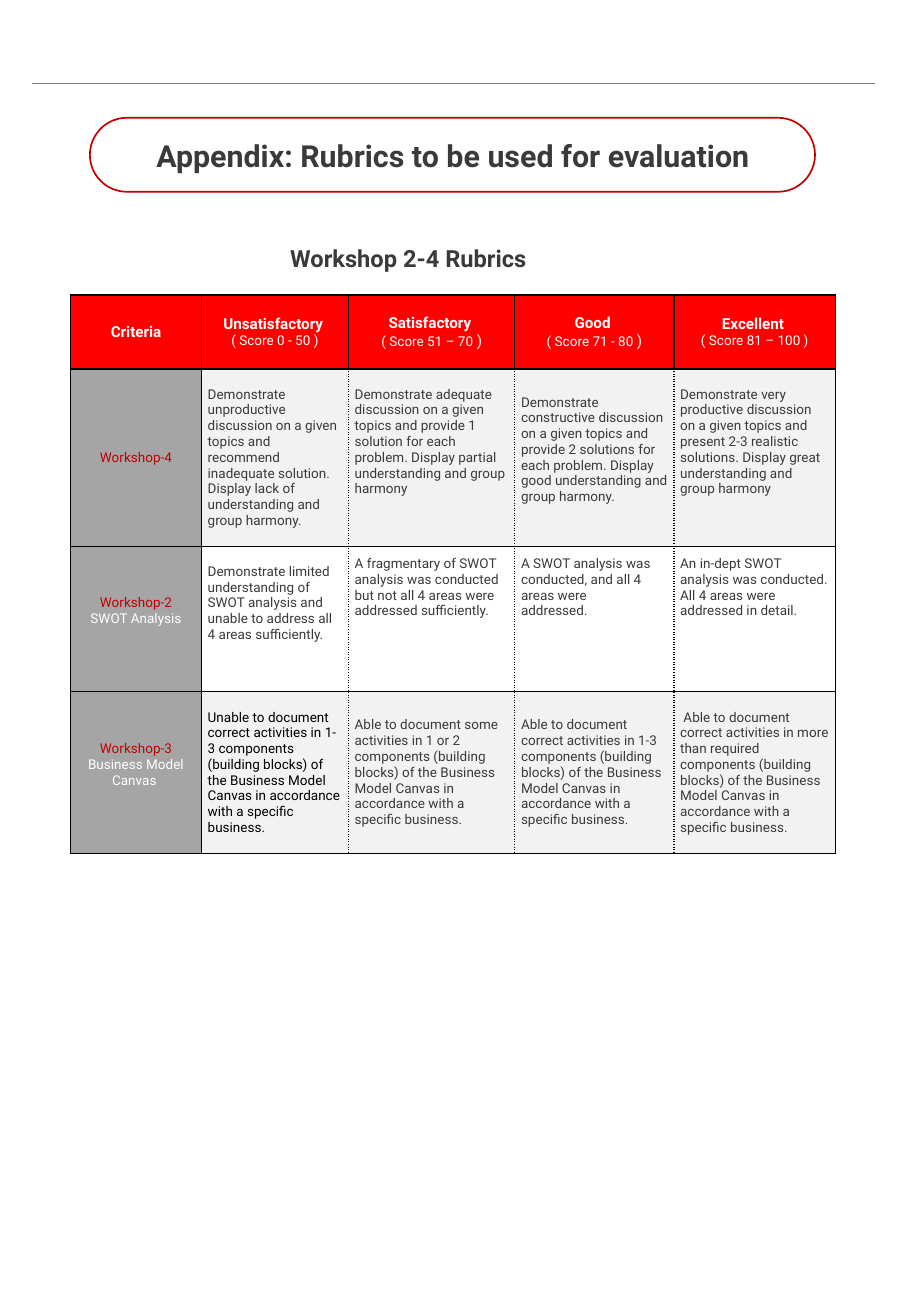
from dataclasses import dataclass

from lxml.etree import SubElement
from pptx import Presentation
from pptx.dml.color import RGBColor
from pptx.enum.shapes import MSO_CONNECTOR, MSO_SHAPE
from pptx.enum.text import MSO_ANCHOR, PP_ALIGN
from pptx.oxml.ns import qn
from pptx.util import Inches, Pt


@dataclass(frozen=True)
class Theme:
    font: str = "Roboto"
    ink: str = "3A3A3A"
    black: str = "000000"
    white: str = "FFFFFF"
    red: str = "FF0000"
    wine: str = "C00000"
    rule: str = "7F7F7F"
    gray: str = "A5A5A5"
    pale: str = "F2F2F2"
    title: float = 18
    sub: float = 14
    head: float = 9
    body: float = 8
    thin: float = 0.75


THEME = Theme()
LINE = 0.13  # height of one line of body text, in inches
COLS = [1.08, 1.21, 1.37, 1.31, 1.33]
ROWS = [0.61, 1.46, 1.2, 1.33]

# Level, score range, size of the closing bracket
LEVELS = [
    ("Unsatisfactory ", "( Score 0 - 50 ", THEME.body),
    ("Satisfactory ", "( Score 51 – 70 ", THEME.head),
    ("Good ", "( Score 71 - 80 ", THEME.head),
    ("Excellent ", "( Score 81 – 100 ", THEME.body),
]

# Workshop, topic, row fill, color of the first level, lines of space
# below each cell's text, level texts
RUBRICS = [
    ("Workshop-4", "", THEME.pale, THEME.ink, (0, 0, 2, 1, 2), [
        "Demonstrate unproductive discussion on a given topics and recommend "
        "inadequate solution. Display lack of understanding and group harmony.",
        "Demonstrate adequate discussion on a given topics and provide 1 solution "
        "for each problem. Display partial understanding and group harmony",
        "Demonstrate constructive discussion on a given topics and provide 2 solutions "
        "for each problem. Display good understanding and group harmony.",
        "Demonstrate very productive discussion on a given topics and present 2-3 "
        "realistic solutions. Display great understanding and group harmony",
    ]),
    ("Workshop-2", "SWOT Analysis", THEME.white, THEME.ink, (1, 2, 4, 4, 4), [
        "Demonstrate limited understanding of SWOT analysis and unable to address "
        "all 4 areas sufficiently.",
        "A fragmentary of SWOT analysis was conducted but not all 4 areas were "
        "addressed sufficiently.",
        "A SWOT analysis was conducted, and all 4 areas were\naddressed.",
        "An in-dept SWOT analysis was conducted. All 4 areas were addressed in detail.",
    ]),
    ("Workshop-3", "Business Model Canvas ", THEME.pale, THEME.black, (1, 0, 0, 0, 0), [
        "Unable to document correct activities in 1-3 components (building blocks) "
        "of the Business Model Canvas in accordance with a specific business.",
        "Able to document some activities in 1 or 2 components (building blocks) "
        "of the Business Model Canvas in accordance with a specific business.",
        "Able to document correct activities in 1-3 components (building blocks) "
        "of the Business Model Canvas in accordance with a specific business.",
        " Able to document correct activities in more than required components (building "
        "blocks) of the Business Model Canvas in accordance with a specific business.",
    ]),
]


def write(frame, text, size=THEME.body, color=THEME.ink, bold=False,
          align=PP_ALIGN.LEFT, join=False):
    """Add one paragraph per line of text, or with join a run to the last one."""
    for line in text.split("\n"):
        para = frame.paragraphs[-1]
        if para.runs and not join:
            para = frame.add_paragraph()
        para.alignment = align
        run = para.add_run()
        run.text = line
        font = run.font
        font.name, font.size, font.bold = THEME.font, Pt(size), bold
        font.color.rgb = RGBColor.from_string(color)


def edge(cell, side, dash):
    line = SubElement(cell._tc.get_or_add_tcPr(), qn(f"a:ln{side}"), w=str(Pt(THEME.thin)))
    fill = SubElement(line, qn("a:solidFill"))
    SubElement(fill, qn("a:srgbClr"), val=THEME.black)
    SubElement(line, qn("a:prstDash"), val=dash)


class Page:
    def __init__(self, slide, theme):
        self.slide, self.theme = slide, theme

    def rule(self, x1, y1, x2, y2):
        line = self.slide.shapes.add_connector(
            MSO_CONNECTOR.STRAIGHT, Inches(x1), Inches(y1), Inches(x2), Inches(y2))
        line.line.color.rgb = RGBColor.from_string(self.theme.rule)
        line.line.width = Pt(self.theme.thin)
        SubElement(line._element.spPr, qn("a:effectLst"))

    def title(self, text, *box):
        head = self.slide.shapes.title
        head.left, head.top, head.width, head.height = map(Inches, box)
        head.text_frame.vertical_anchor = MSO_ANCHOR.TOP
        write(head.text_frame, text, size=self.theme.title, bold=True,
              align=PP_ALIGN.CENTER)

    def label(self, text, *box):
        frame = self.slide.shapes.add_textbox(*map(Inches, box)).text_frame
        frame.word_wrap = True
        write(frame, text, size=self.theme.sub, bold=True)

    def pill(self, *box):
        shape = self.slide.shapes.add_shape(MSO_SHAPE.ROUNDED_RECTANGLE, *map(Inches, box))
        shape.adjustments[0] = 0.5
        shape.shadow.inherit = False
        shape.fill.background()
        shape.line.color.rgb = RGBColor.from_string(self.theme.wine)
        shape.line.width = Pt(1)

    def grid(self, left, top, cols, rows):
        table = self.slide.shapes.add_table(
            len(rows), len(cols), Inches(left), Inches(top),
            Inches(sum(cols)), Inches(sum(rows))).table
        table.first_row = table.horz_banding = False
        for col, width in zip(table.columns, cols):
            col.width = Inches(width)
        for row, height in zip(table.rows, rows):
            row.height = Inches(height)
        return table

    def cell(self, table, row, col, fill, below=0):
        """Style one cell, dot its inner level edges and return its text frame."""
        cell = table.cell(row, col)
        cell.vertical_anchor = MSO_ANCHOR.MIDDLE
        cell.margin_left = cell.margin_right = Inches(0.05)
        cell.margin_top, cell.margin_bottom = 0, Inches(below * LINE)
        last = len(table.columns) - 1
        edge(cell, "L", "sysDot" if row and col > 1 else "solid")
        edge(cell, "R", "sysDot" if row and 0 < col < last else "solid")
        edge(cell, "T", "solid")
        edge(cell, "B", "solid")
        cell.fill.solid()
        cell.fill.fore_color.rgb = RGBColor.from_string(fill)
        return cell.text_frame

    def rubrics(self, left, top):
        look, mid = self.theme, PP_ALIGN.CENTER
        table = self.grid(left, top, COLS, ROWS)
        head = {"size": look.head, "color": look.white, "bold": True, "align": mid}
        write(self.cell(table, 0, 0, look.red), "Criteria", **head)
        for col, (name, score, size) in enumerate(LEVELS, 1):
            frame = self.cell(table, 0, col, look.red)
            write(frame, name, **head)
            write(frame, score, color=look.white, align=mid)
            write(frame, ")", size=size, color=look.white, align=mid, join=True)
        for row, (name, topic, fill, first, below, texts) in enumerate(RUBRICS, 1):
            frame = self.cell(table, row, 0, look.gray, below[0])
            write(frame, name, color=look.wine, align=mid)
            if topic:
                write(frame, topic, color=look.white, align=mid)
            for col, text in enumerate(texts, 1):
                frame = self.cell(table, row, col, fill, below[col])
                write(frame, text, color=first if col == 1 else look.ink)


def main():
    deck = Presentation()
    deck.slide_width, deck.slide_height = Inches(7.5), Inches(10.84)
    page = Page(deck.slides.add_slide(deck.slide_layouts[5]), THEME)
    page.rule(0.26, 0.69, 7.2, 0.69)
    page.title("Appendix: Rubrics to be used for evaluation", -0.02, 1.08, 7.5, 0.4)
    page.label("Workshop 2-4 Rubrics", 2.29, 1.96, 2.87, 0.34)
    page.rubrics(0.58, 2.43)
    page.pill(0.74, 0.97, 5.97, 0.61)
    deck.save("out.pptx")


if __name__ == "__main__":
    main()
